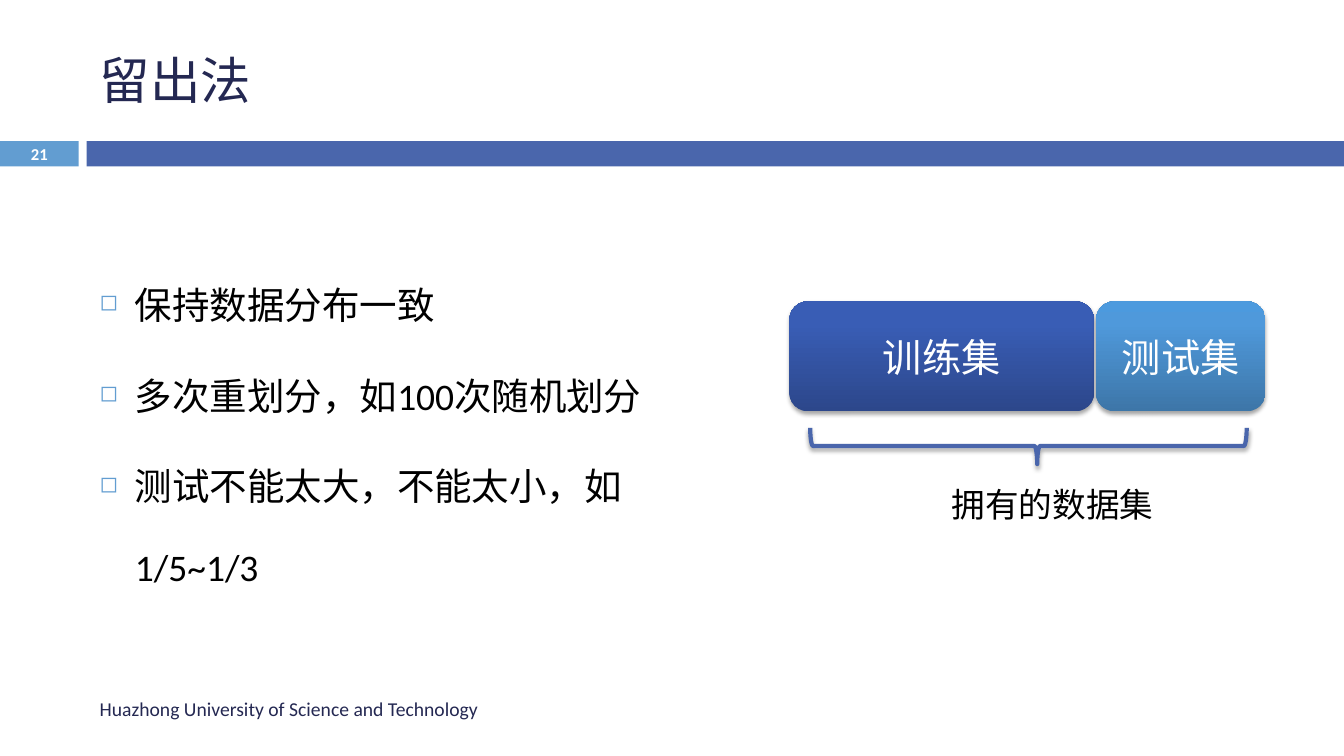
from lxml.etree import SubElement as Sub
from pptx import Presentation
from pptx.dml.color import RGBColor
from pptx.enum.shapes import MSO_SHAPE as Kind
from pptx.enum.text import MSO_ANCHOR as Anchor, PP_ALIGN as Align
from pptx.oxml import parse_xml
from pptx.oxml.ns import nsdecls, qn
from pptx.util import Inches, Pt

FACE, HAN = "Calibri", "Noto Sans CJK SC"
NAVY, BLUE, SKY, WHITE, BLACK = "242852", "4A66AC", "629DD1", "FFFFFF", "000000"

BARS = [((0, 1.4, 0.78, 0.25), SKY), ((0.86, 1.4, 12.47, 0.25), BLUE)]
LABELS = [
    ("留出法", (0.89, 0.25, 11.89, 1.08), 36, NAVY, Anchor.MIDDLE, True),
    ("Huazhong University of Science and Technology",
     (0.89, 6.83, 7.9, 0.4), 14, NAVY, Anchor.MIDDLE, True),
    ("拥有的数据集", (9.34, 4.75, 2.22, 0.5), 24, BLACK, Anchor.TOP, False),
]
PAGE = ("21", (0, 1.39, 0.78, 0.27))
POINTS = ["保持数据分布一致", "多次重划分，如100次随机划分", "测试不能太大，不能太小，如1/5~1/3"]
BODY = (0.89, 2.39, 6.09, 3.7)
SETS = [
    ("训练集", 7.83, 3.02, [(0, "2C478B"), (80, "395DB5"), (100, "375CB8")]),
    ("测试集", 10.87, 1.68, [(0, "3D76A8"), (80, "4F99DB"), (100, "4C9ADE")]),
]
ROW, TALL = 2.99, 1.09
BRACE = (10.02, 2.26, 0.36, 4.33)


def color(code):
    return RGBColor.from_string(code)


def write(para, text, size, code, face=FACE, bold=False):
    run = para.add_run()
    run.text = text
    font = run.font
    font.name, font.size, font.bold = face, Pt(size), bold
    font.color.rgb = color(code)
    font._element.find(qn("a:latin")).addnext(
        parse_xml(f'<a:ea {nsdecls("a")} typeface="{HAN}"/>'))


def draw(slide, kind, at):
    shape = slide.shapes.add_shape(kind, *map(Inches, at))
    shape.shadow.inherit = False
    shape.fill.background()
    shape.line.fill.background()
    return shape


def text_box(slide, at, anchor=Anchor.TOP, wrap=True):
    frame = slide.shapes.add_textbox(*map(Inches, at)).text_frame
    frame.word_wrap, frame.vertical_anchor = wrap, anchor
    return frame


def shade(shape):
    effects = shape._element.spPr.find(qn("a:effectLst"))
    effects.append(parse_xml(
        f'<a:outerShdw {nsdecls("a")} blurRad="{Pt(3.1)}" dist="{Pt(1.8)}" dir="5400000" '
        'rotWithShape="0"><a:srgbClr val="000000"><a:alpha val="35000"/></a:srgbClr>'
        '</a:outerShdw>'))


def blend(shape, stops):
    marks = "".join(f'<a:gs pos="{pos * 1000}"><a:srgbClr val="{code}"/></a:gs>'
                    for pos, code in stops)
    props = shape._element.spPr
    props.replace(props.find(qn("a:noFill")), parse_xml(
        f'<a:gradFill {nsdecls("a")} rotWithShape="1"><a:gsLst>{marks}</a:gsLst>'
        '<a:lin ang="16200000" scaled="0"/></a:gradFill>'))


def bullet(para):
    props = para._p.get_or_add_pPr()
    props.set("marL", str(Inches(0.35)))
    props.set("indent", str(Inches(-0.35)))
    Sub(Sub(props, qn("a:buClr")), qn("a:srgbClr")).set("val", SKY)
    Sub(props, qn("a:buSzPct")).set("val", "60000")
    Sub(props, qn("a:buChar")).set("char", "◻")


def main():
    """Build the hold-out method slide and save it."""
    deck = Presentation()
    deck.slide_width, deck.slide_height = Inches(13.33), Inches(7.5)
    slide = deck.slides.add_slide(deck.slide_layouts[6])

    for at, code in BARS:
        bar = draw(slide, Kind.RECTANGLE, at)
        bar.fill.solid()
        bar.fill.fore_color.rgb = color(code)

    for text, at, size, code, anchor, wrap in LABELS:
        frame = text_box(slide, at, anchor, wrap)
        write(frame.paragraphs[0], text, size, code)

    text, at = PAGE
    para = text_box(slide, at, Anchor.MIDDLE).paragraphs[0]
    para.alignment = Align.CENTER
    write(para, text, 11.9, WHITE, bold=True)

    for text, left, wide, stops in SETS:
        card = draw(slide, Kind.ROUNDED_RECTANGLE, (left, ROW, wide, TALL))
        blend(card, stops)
        shade(card)
        card.text_frame.vertical_anchor = Anchor.MIDDLE
        para = card.text_frame.paragraphs[0]
        para.alignment = Align.CENTER
        write(para, text, 28, WHITE, HAN)

    brace = draw(slide, Kind.RIGHT_BRACE, BRACE)
    brace.rotation = 90
    brace.adjustments[0], brace.adjustments[1] = 0.08, 0.48
    brace.line.color.rgb, brace.line.width = color(BLUE), Pt(3)
    shade(brace)

    frame = text_box(slide, BODY)
    for i, text in enumerate(POINTS):
        para = frame.add_paragraph() if i else frame.paragraphs[0]
        bullet(para)
        para.line_spacing = 1.8
        if i:
            para.space_before = Pt(7)
        write(para, text, 26.8, BLACK)

    deck.save("out.pptx")


if __name__ == "__main__":
    main()
